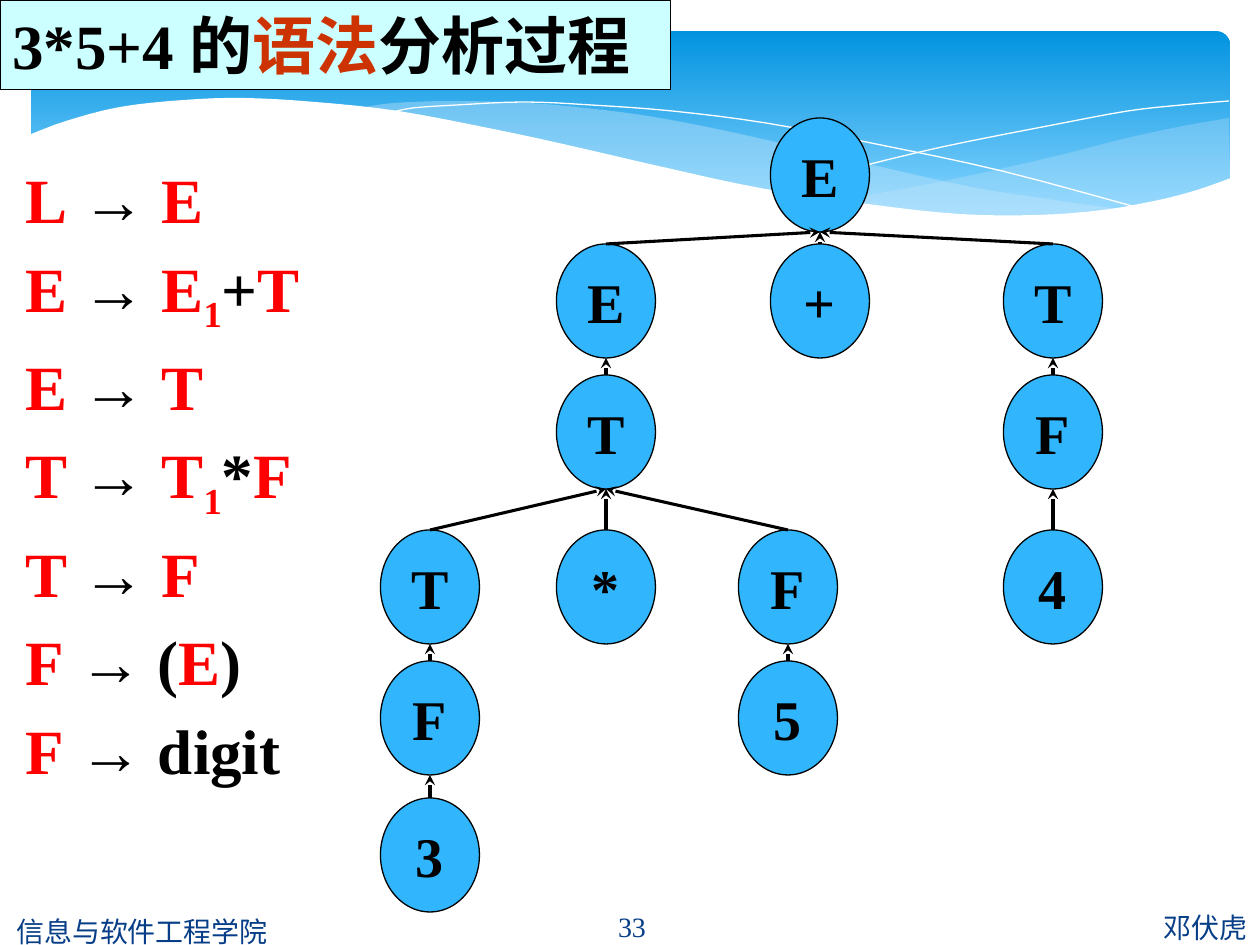
from itertools import groupby

from lxml import etree
from pptx import Presentation
from pptx import util as u
from pptx.dml.color import RGBColor
from pptx.enum import shapes, text
from pptx.oxml import ns

PX = 914400 / 126
BLACK = RGBColor(0x00, 0x00, 0x00)
WHITE = RGBColor(0xFF, 0xFF, 0xFF)
RED = RGBColor(0xFF, 0x00, 0x00)
RUST = RGBColor(0xCC, 0x33, 0x00)
NAVY = RGBColor(0x07, 0x3E, 0x87)
NODE_BLUE = RGBColor(0x31, 0xB6, 0xFD)
PALE_CYAN = RGBColor(0xCC, 0xFF, 0xFF)
BANNER_TOP = RGBColor(0x02, 0x93, 0xE0)
BANNER_END = RGBColor(0x83, 0xD3, 0xFE)
WAVE_TINT = RGBColor(0xC6, 0xE7, 0xFC)
LATIN, HAN = "Times New Roman", "Noto Sans CJK SC"

# Banner curves, in px from the banner's top left corner
WAVE_EDGE = [(-2, 104), (35, 90), (89, 76), (153, 69), (212, 67), (284, 71), (367, 80),
             (462, 98), (532, 113), (636, 137), (729, 157), (836, 173), (928, 183),
             (1006, 184), (1072, 179), (1128, 169), (1166, 159), (1200, 147)]
RIGHT_TOP = [(1198, 87), (1147, 96), (1092, 108), (1017, 127), (918, 149), (802, 171)]
RIGHT_BOTTOM = [(802, 171), (840, 176), (923, 183), (995, 186), (1056, 183), (1109, 174),
                (1156, 163), (1199, 147)]
MIDDLE_TOP = [(1094, 179), (1024, 169), (946, 157), (859, 138), (762, 115), (686, 98),
              (617, 85), (555, 77), (498, 72), (424, 70), (363, 72), (329, 77)]
MIDDLE_BOTTOM = [(329, 77), (400, 87), (478, 103), (588, 128), (682, 149), (768, 166),
                 (845, 177), (911, 183), (986, 187), (1049, 184), (1094, 179)]
FALLING_LINE = [(358, 82), (382, 77), (426, 74), (493, 71), (560, 74), (641, 80),
                (735, 92), (845, 113), (971, 140), (1112, 178)]
RISING_LINE = [(741, 159), (816, 139), (911, 116), (1022, 94), (1097, 80), (1151, 74),
               (1198, 70)]

RULES = ["L → E", "E → E1+T", "E → T", "T → T1*F", "T → F", "F → (E)", "F → digit"]

# Parse tree: symbol, column, row, index of the parent
COLUMNS = [50, 226, 408, 440, 673]
ROWS = [0, 126, 257, 412, 543, 680]
TREE = [("E", 3, 0, None), ("+", 3, 1, 0), ("E", 1, 1, 0), ("T", 4, 1, 0),
        ("T", 1, 2, 2), ("F", 4, 2, 3), ("4", 4, 3, 5),
        ("T", 0, 3, 4), ("*", 1, 3, 4), ("F", 2, 3, 4),
        ("5", 2, 4, 9), ("F", 0, 4, 7), ("3", 0, 5, 11)]
NODE_WIDTH, NODE_HEIGHT = 99, 114


def px(*values):
    return [u.Emu(round(value * PX)) for value in values]


def add_text(para, words, size=36, color=BLACK, font=LATIN, bold=False, subscript=False):
    span = para.add_run()
    span.text = words
    span.font.size, span.font.bold, span.font.name = u.Pt(size), bold, font
    span.font.color.rgb = color
    props = span.font._element
    etree.SubElement(props, ns.qn("a:ea")).set("typeface", font)
    if subscript:
        props.set("baseline", "-25000")


def set_frame(shape, anchor, insets=None):
    frame = shape.text_frame
    frame.word_wrap, frame.auto_size = True, text.MSO_AUTO_SIZE.NONE
    frame.vertical_anchor = anchor
    if insets:
        (frame.margin_left, frame.margin_top,
         frame.margin_right, frame.margin_bottom) = px(*insets)
    return frame


def place(shape, left, top, width, height):
    shape.left, shape.top, shape.width, shape.height = px(left, top, width, height)
    # Placeholders go in front of the banner
    shape._element.getparent().append(shape._element)


def smooth(points, steps=4):
    """Points of a Catmull-Rom curve through the given points."""
    padded = [points[0], *points, points[-1]]
    curve = [points[0]]
    for a, b, c, d in zip(padded, padded[1:], padded[2:], padded[3:]):
        for step in range(1, steps + 1):
            t = step / steps
            curve.append(tuple(
                (2 * q + (r - p) * t + (2 * p - 5 * q + 4 * r - s) * t ** 2
                 + (3 * q - p - 3 * r + s) * t ** 3) / 2
                for p, q, r, s in zip(a, b, c, d)))
    return curve


def add_curve(page, left, top, points, fill=None, opacity=100):
    moved = [tuple(px(left + x, top + y)) for x, y in points]
    builder = page.shapes.build_freeform(*moved[0], scale=1.0)
    builder.add_line_segments(moved[1:], close=fill is not None)
    shape = builder.convert_to_shape()
    shape.shadow.inherit = False
    if fill is None:
        shape.fill.background()
        shape.line.color.rgb, shape.line.width = WHITE, u.Pt(0)
        return
    shape.line.fill.background()
    shape.fill.solid()
    shape.fill.fore_color.rgb = fill
    if opacity < 100:
        color = shape._element.spPr.find(".//" + ns.qn("a:srgbClr"))
        etree.SubElement(color, ns.qn("a:alpha")).set("val", str(opacity * 1000))


def add_banner(page, left, top, width, height):
    panel = page.shapes.add_shape(shapes.MSO_SHAPE.ROUNDED_RECTANGLE,
                                  *px(left, top, width, height))
    panel.adjustments[0] = 0.07
    panel.shadow.inherit = False
    panel.line.fill.background()
    panel.fill.gradient()
    panel.fill.gradient_angle = 270
    for stop, color, position in zip(panel.fill.gradient_stops,
                                     (BANNER_TOP, BANNER_END), (0, 0.9)):
        stop.color.rgb, stop.position = color, position
    add_curve(page, left, top, smooth(RIGHT_TOP) + smooth(RIGHT_BOTTOM), WAVE_TINT, 29)
    add_curve(page, left, top, smooth(MIDDLE_TOP) + smooth(MIDDLE_BOTTOM), WAVE_TINT, 40)
    for line in (FALLING_LINE, RISING_LINE):
        add_curve(page, left, top, smooth(line))
    add_curve(page, left, top, smooth(WAVE_EDGE) + [(1200, 251), (-2, 251)], WHITE)


def add_tree(page, left, top):
    spots = [(left + COLUMNS[column], top + ROWS[row]) for _, column, row, _ in TREE]
    for (symbol, *_), (center, y) in zip(TREE, spots):
        node = page.shapes.add_shape(
            shapes.MSO_SHAPE.OVAL, *px(center - NODE_WIDTH / 2, y, NODE_WIDTH, NODE_HEIGHT))
        node.shadow.inherit = False
        node.fill.solid()
        node.fill.fore_color.rgb = NODE_BLUE
        node.line.color.rgb, node.line.width = BLACK, u.Pt(0.75)
        para = set_frame(node, text.MSO_ANCHOR.MIDDLE).paragraphs[0]
        para.alignment = text.PP_ALIGN.CENTER
        add_text(para, symbol, size=32, bold=True)
    # Arrows from each child up to its parent
    for (*_, parent), (x, y) in zip(TREE, spots):
        if parent is None:
            continue
        parent_x, parent_y = spots[parent]
        arrow = page.shapes.add_connector(shapes.MSO_CONNECTOR.STRAIGHT,
                                          *px(x, y, parent_x, parent_y + NODE_HEIGHT))
        arrow.line.color.rgb, arrow.line.width = BLACK, u.Pt(1.75)
        etree.SubElement(arrow.line._get_or_add_ln(), ns.qn("a:tailEnd")).set("type", "stealth")
        etree.SubElement(arrow._element.spPr, ns.qn("a:effectLst"))


def fill_rules(body, left, top, width, height):
    place(body, left, top, width, height)
    frame = set_frame(body, text.MSO_ANCHOR.TOP, (0, 3, 0, 0))
    for index, rule in enumerate(RULES):
        para = frame.paragraphs[0] if index == 0 else frame.add_paragraph()
        props = para._p.get_or_add_pPr()
        props.set("marL", "0")
        props.set("indent", "0")
        etree.SubElement(props, ns.qn("a:buNone"))
        para.space_before = u.Pt(7.2 if index else 0)
        # Nonterminals are red, and their digits are subscripts
        for (upper, digit), letters in groupby(rule, lambda c: (c.isupper(), c.isdigit())):
            add_text(para, "".join(letters), color=RED if upper or digit else BLACK,
                     bold=True, subscript=digit)


def fill_title(title, left, top, width, height):
    place(title, left, top, width, height)
    title.fill.solid()
    title.fill.fore_color.rgb = PALE_CYAN
    title.line.color.rgb, title.line.width = BLACK, u.Pt(0.25)
    para = set_frame(title, text.MSO_ANCHOR.MIDDLE, (12, 6, 12, 6)).paragraphs[0]
    para.alignment = text.PP_ALIGN.LEFT
    add_text(para, "3*5+4 ", bold=True)
    for words, color in (("的", BLACK), ("语法", RUST), ("分析过程", BLACK)):
        add_text(para, words, color=color, font=HAN, bold=True)


def add_footer(page, words, left, top, width, height, align, font=HAN):
    box = page.shapes.add_textbox(*px(left, top, width, height))
    para = set_frame(box, text.MSO_ANCHOR.MIDDLE).paragraphs[0]
    para.alignment = align
    add_text(para, words, size=16, color=NAVY, font=font)


def main():
    deck = Presentation()
    deck.slide_width, deck.slide_height = px(1260, 945)
    page = deck.slides.add_slide(deck.slide_layouts[1])
    add_banner(page, 31, 31, 1199, 197)
    add_tree(page, 380, 118)
    fill_rules(page.placeholders[1], 25, 158, 328, 694)
    fill_title(page.shapes.title, 0, 0, 670, 89)
    add_footer(page, "邓伏虎", 738, 902, 522, 50, text.PP_ALIGN.RIGHT)
    add_footer(page, "信息与软件工程学院", 4, 906, 522, 50, text.PP_ALIGN.LEFT)
    add_footer(page, "33", 552, 901, 160, 50, text.PP_ALIGN.CENTER, font=LATIN)
    deck.save("out.pptx")


if __name__ == "__main__":
    main()
